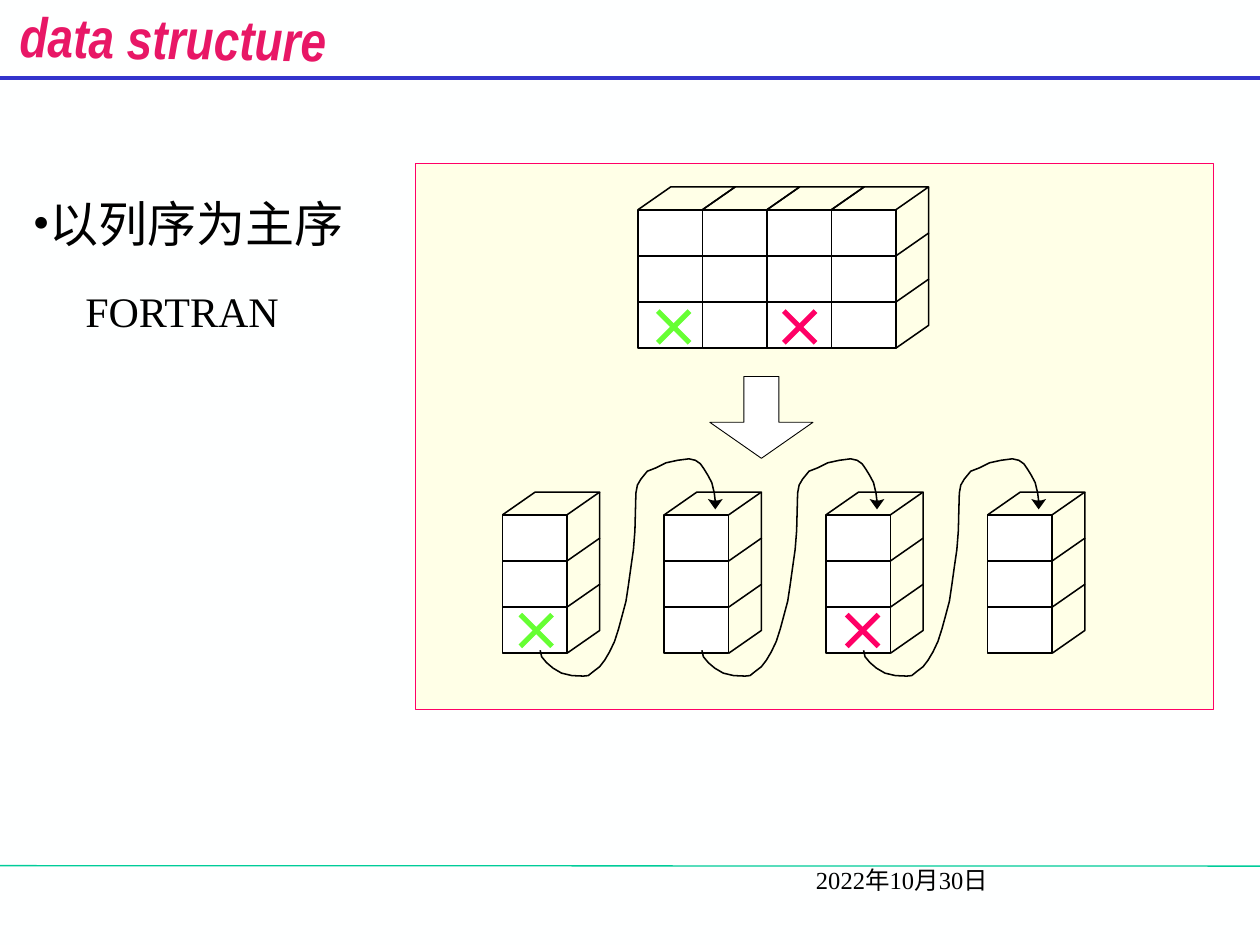
import pptx
import pptx.util
import pptx.dml.color
import pptx.enum.shapes
import pptx.enum.text
import pptx.oxml.ns
import lxml.etree

Cm, Pt = pptx.util.Cm, pptx.util.Pt
SHAPE = pptx.enum.shapes.MSO_SHAPE

THEME = {
    "background": "FEFFFF", "panel": "FFFFE7", "panel_edge": "FF0066",
    "face": "FFFFFF", "ink": "000000", "title": "E81766",
    "header_rule": "3333CC", "footer_rule": "00CC99",
    "red": "FF0066", "green": "66FF33",
    "title_font": "Arial Narrow", "body_font": "Times New Roman",
    "title_size": 32, "bullet_size": 28, "body_size": 24, "date_size": 14,
    "edge": 0.88, "panel_line": 0.75, "arrow_line": 0.5, "cross": 3,
}

# All lengths below are in centimetres.
WIDTH, HEIGHT = 25.4, 19.05
# Height at the left end, height at the right end, colour, points
RULES = [(1.57, 1.57, "header_rule", 2.25), (17.45, 17.46, "footer_rule", 0.75)]
PANEL = (8.38, 3.3, 16.08, 11)
ARROW = (14.31, 7.59, 2.08, 1.65)

CELL_W, CELL_H = 1.3, 0.93
DEPTH_X, DEPTH_Y = 0.66, 0.46
ROWS, COLUMNS = 3, 4
MATRIX = (12.86, 4.23)
FIRST_COLUMN, COLUMN_TOP, COLUMN_PITCH = 10.13, 10.38, 3.26

CROSSES = [(16.12, 6.59, "red"), (17.39, 12.71, "red"),
           (10.81, 12.71, "green"), (13.58, 6.59, "green")]
CROSS_HALF = 0.32

# The link from one column to the next, from the column's front top left corner
LINK_RISE = [
    (0.76, 2.73), (0.79, 2.86), (0.89, 2.98), (1.02, 3.09), (1.19, 3.19),
    (1.4, 3.24), (1.63, 3.25), (1.73, 3.24), (1.83, 3.16), (1.96, 3.06),
    (2.06, 2.93), (2.16, 2.76), (2.26, 2.55), (2.34, 2.3), (2.41, 2.04),
    (2.49, 1.74), (2.54, 1.41), (2.59, 1.05), (2.64, 0.7), (2.67, 0.32),
    (2.68, -0.06), (2.69, -0.44)]
LINK_HOOK = [
    (2.69, -0.44), (2.72, -0.6), (2.79, -0.72), (2.92, -0.88), (3.1, -0.95),
    (3.3, -1.05), (3.53, -1.1), (3.76, -1.13), (3.89, -1.1), (3.99, -1.03),
    (4.06, -0.93), (4.14, -0.8), (4.22, -0.65), (4.27, -0.44), (4.29, -0.27)]
LINK_TIP = [(4.29, -0.11), (4.44, -0.32), (4.34, -0.29), (4.24, -0.29),
            (4.14, -0.32)]

TEXTS = [
    {"text": "data structure", "box": (0.19, -0.05, 6.6, 1.37),
     "font": "title_font", "size": "title_size", "color": "title",
     "title": True},
    {"text": "2022年10月30日", "box": (13.72, 17.32, 12.27, 1.27),
     "size": "date_size", "wrap": True, "inset": 2.73},
    {"text": "以列序为主序", "box": (0.41, 3.78, 6.78, 1.45),
     "size": "bullet_size", "bullet": "•"},
    {"text": "FORTRAN", "box": (1.47, 5.64, 4.47, 1.27), "size": "body_size"},
]


def color(name):
    return pptx.dml.color.RGBColor.from_string(THEME[name])


def paint(sp, fill=None, line="ink", width=THEME["edge"]):
    """Set fill and outline; None leaves either one out."""
    sp.shadow.inherit = False
    for part, name in ((sp.fill, fill), (sp.line.fill, line)):
        if name:
            part.solid()
            part.fore_color.rgb = color(name)
        else:
            part.background()
    if line:
        sp.line.width = Pt(width)


def add_box(shapes, kind, box, **style):
    sp = shapes.add_shape(kind, *map(Cm, box))
    paint(sp, **style)
    return sp


def add_line(shapes, start, end, name, width):
    line = shapes.add_connector(pptx.enum.shapes.MSO_CONNECTOR.STRAIGHT,
                                *map(Cm, start + end))
    line.line.color.rgb = color(name)
    line.line.width = Pt(width)
    lxml.etree.SubElement(line._element.spPr, pptx.oxml.ns.qn("a:effectLst"))


def add_path(shapes, points, origin=(0, 0), close=False, **style):
    points = [(Cm(origin[0] + x), Cm(origin[1] + y)) for x, y in points]
    builder = shapes.build_freeform(*points[0])
    builder.add_line_segments(points[1:], close=close)
    paint(builder.convert_to_shape(), **style)


def add_prism(shapes, x, y, columns):
    """Draw a block of cells whose front face starts at x, y."""
    group = shapes.add_group_shape().shapes
    for column in range(columns):
        left = x + column * CELL_W
        for row in range(ROWS):
            add_box(group, SHAPE.RECTANGLE,
                    (left, y + row * CELL_H, CELL_W, CELL_H), fill="face")
        add_path(group, [(0, 0), (DEPTH_X, -DEPTH_Y),
                         (CELL_W + DEPTH_X, -DEPTH_Y), (CELL_W, 0)], (left, y))
    for row in range(1, ROWS + 1):
        add_path(group, [(0, 0), (DEPTH_X, -DEPTH_Y),
                         (DEPTH_X, -DEPTH_Y - CELL_H)],
                 (x + columns * CELL_W, y + row * CELL_H))


def add_link(shapes, origin):
    group = shapes.add_group_shape().shapes
    add_path(group, LINK_RISE, origin)
    add_path(group, LINK_HOOK, origin)
    add_path(group, LINK_TIP, origin, close=True, fill="ink", line=None)


def add_cross(shapes, x, y, name):
    group = shapes.add_group_shape().shapes
    for slope in (1, -1):
        add_line(group, (x - CROSS_HALF, y - slope * CROSS_HALF),
                 (x + CROSS_HALF, y + slope * CROSS_HALF), name, THEME["cross"])


def add_text(shapes, item):
    sp = shapes.add_textbox(*map(Cm, item["box"]))
    tf = sp.text_frame
    tf.word_wrap = item.get("wrap", False)
    tf.text = item["text"]
    if "inset" in item:
        tf.margin_left = Cm(item["inset"])
    p = tf.paragraphs[0]
    font = p.runs[0].font
    font.name = THEME[item.get("font", "body_font")]
    font.size = Pt(THEME[item["size"]])
    font.color.rgb = color(item.get("color", "ink"))
    if item.get("title"):
        sp.rotation = 0.8
        tf.margin_left = tf.margin_right = 0
        font.bold = font.italic = True
        p.alignment = pptx.enum.text.PP_ALIGN.CENTER
    if "bullet" in item:
        for tag, key, value in (("a:buFont", "typeface", font.name),
                                ("a:buChar", "char", item["bullet"])):
            lxml.etree.SubElement(p._p.get_or_add_pPr(),
                                  pptx.oxml.ns.qn(tag)).set(key, value)


def main():
    prs = pptx.Presentation()
    prs.slide_width, prs.slide_height = Cm(WIDTH), Cm(HEIGHT)
    s = prs.slides.add_slide(prs.slide_layouts[6])
    s.background.fill.solid()
    s.background.fill.fore_color.rgb = color("background")
    shapes = s.shapes

    for left_y, right_y, name, width in RULES:
        add_line(shapes, (0, left_y), (WIDTH, right_y), name, width)
    add_box(shapes, SHAPE.RECTANGLE, PANEL, fill="panel", line="panel_edge",
            width=THEME["panel_line"])
    add_prism(shapes, *MATRIX, COLUMNS)
    arrow = add_box(shapes, SHAPE.DOWN_ARROW, ARROW, fill="face",
                    width=THEME["arrow_line"])
    arrow.adjustments[0], arrow.adjustments[1] = 0.34, 0.44

    lefts = [FIRST_COLUMN + i * COLUMN_PITCH for i in range(COLUMNS)]
    for left in lefts:
        add_prism(shapes, left, COLUMN_TOP, 1)
    for left in lefts[:-1]:
        add_link(shapes, (left, COLUMN_TOP))
    for cross in CROSSES:
        add_cross(shapes, *cross)
    for item in TEXTS:
        add_text(shapes, item)
    prs.save("out.pptx")


if __name__ == "__main__":
    main()
